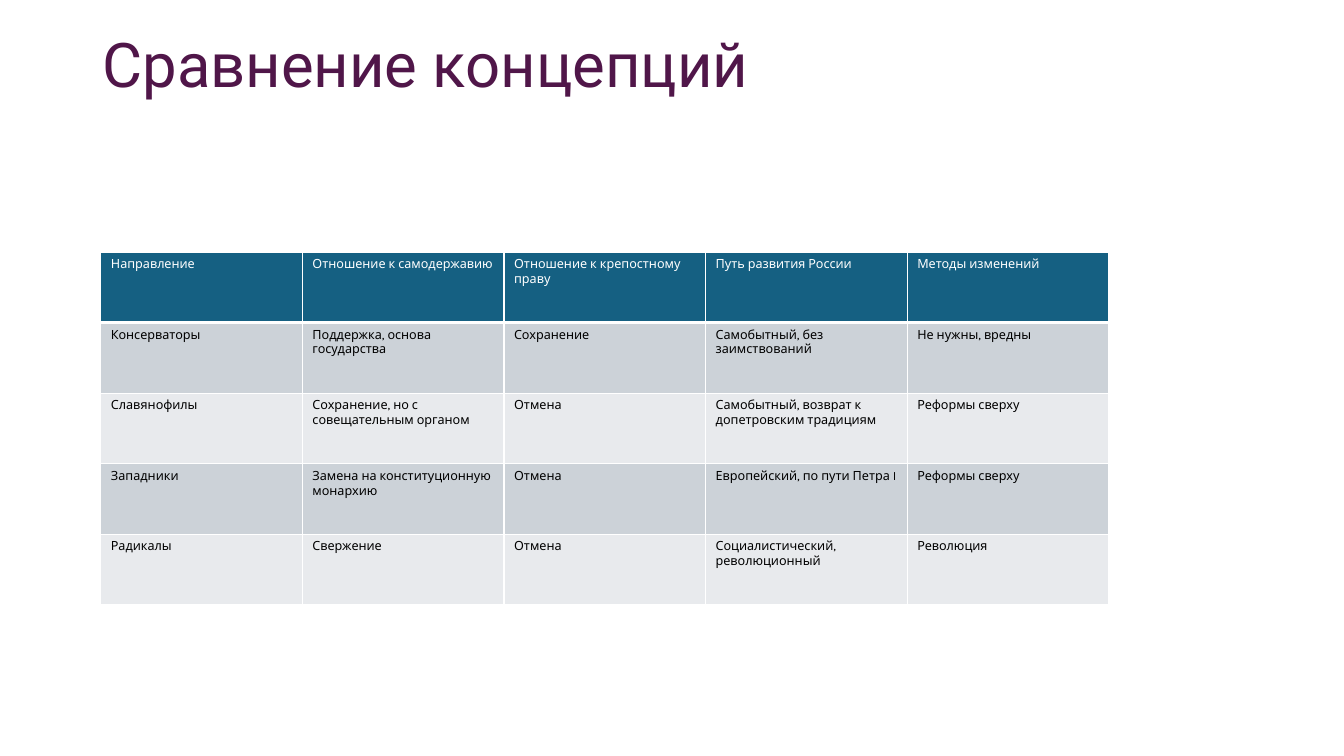
import pptx
import pptx.util
import pptx.dml.color
import pptx.enum.text
from lxml import etree
from pptx.oxml.ns import qn

Pt = pptx.util.Pt

COLORS = {
    "title": "501649",
    "header": "156082",
    "odd_row": "CCD2D8",
    "even_row": "E8EAED",
    "white": "FFFFFF",
    "black": "000000",
}

CONCEPTS = [
    ["Направление", "Отношение к самодержавию", "Отношение к крепостному праву",
     "Путь развития России", "Методы изменений"],
    ["Консерваторы", "Поддержка, основа государства", "Сохранение",
     "Самобытный, без заимствований", "Не нужны, вредны"],
    ["Славянофилы", "Сохранение, но с совещательным органом", "Отмена",
     "Самобытный, возврат к допетровским традициям", "Реформы сверху"],
    ["Западники", "Замена на конституционную монархию", "Отмена",
     "Европейский, по пути Петра I", "Реформы сверху"],
    ["Радикалы", "Свержение", "Отмена",
     "Социалистический, революционный", "Революция"],
]


def color(name):
    return pptx.dml.color.RGBColor.from_string(COLORS[name])


def format_text(paragraph, font_name, size, color_name):
    for run in paragraph.runs:
        run.font.name = font_name
        run.font.size = Pt(size)
        run.font.bold = False
        run.font.color.rgb = color(color_name)


def set_title(slide, text):
    title = slide.shapes.title
    title.left, title.top, title.width, title.height = Pt(66), Pt(16), Pt(828), Pt(65)
    frame = title.text_frame
    frame.text = text
    frame.vertical_anchor = pptx.enum.text.MSO_ANCHOR.MIDDLE
    paragraph = frame.paragraphs[0]
    paragraph.alignment = pptx.enum.text.PP_ALIGN.LEFT
    paragraph.line_spacing = 0.9
    format_text(paragraph, "Roboto", 44, "title")


def set_borders(cell, bottom_width):
    properties = cell._tc.get_or_add_tcPr()
    for side, width in (("L", 1), ("R", 1), ("T", 1), ("B", bottom_width)):
        line = etree.SubElement(properties, qn(f"a:ln{side}"), w=str(Pt(width)))
        fill = etree.SubElement(line, qn("a:solidFill"))
        etree.SubElement(fill, qn("a:srgbClr"), val=COLORS["white"])


def fill_cell(cell, text, fill_name, text_color, bottom_width):
    set_borders(cell, bottom_width)
    cell.fill.solid()
    cell.fill.fore_color.rgb = color(fill_name)
    cell.text_frame.text = text
    format_text(cell.text_frame.paragraphs[0], "Karla", 9, text_color)


def add_comparison_table(slide, rows):
    frame = slide.shapes.add_table(
        len(rows), len(rows[0]), Pt(72), Pt(180), Pt(720), Pt(252))
    table = frame.table
    for row_index, row in enumerate(rows):
        if row_index == 0:
            style = ("header", "white", 3)
        else:
            style = ("odd_row" if row_index % 2 else "even_row", "black", 1)
        for column_index, text in enumerate(row):
            fill_cell(table.cell(row_index, column_index), text, *style)


def main():
    presentation = pptx.Presentation()
    presentation.slide_width, presentation.slide_height = Pt(960), Pt(540)
    slide = presentation.slides.add_slide(presentation.slide_layouts[5])

    # Heading
    set_title(slide, "Сравнение концепций")

    # Comparison of the schools of thought
    add_comparison_table(slide, CONCEPTS)

    presentation.save("out.pptx")


if __name__ == "__main__":
    main()
